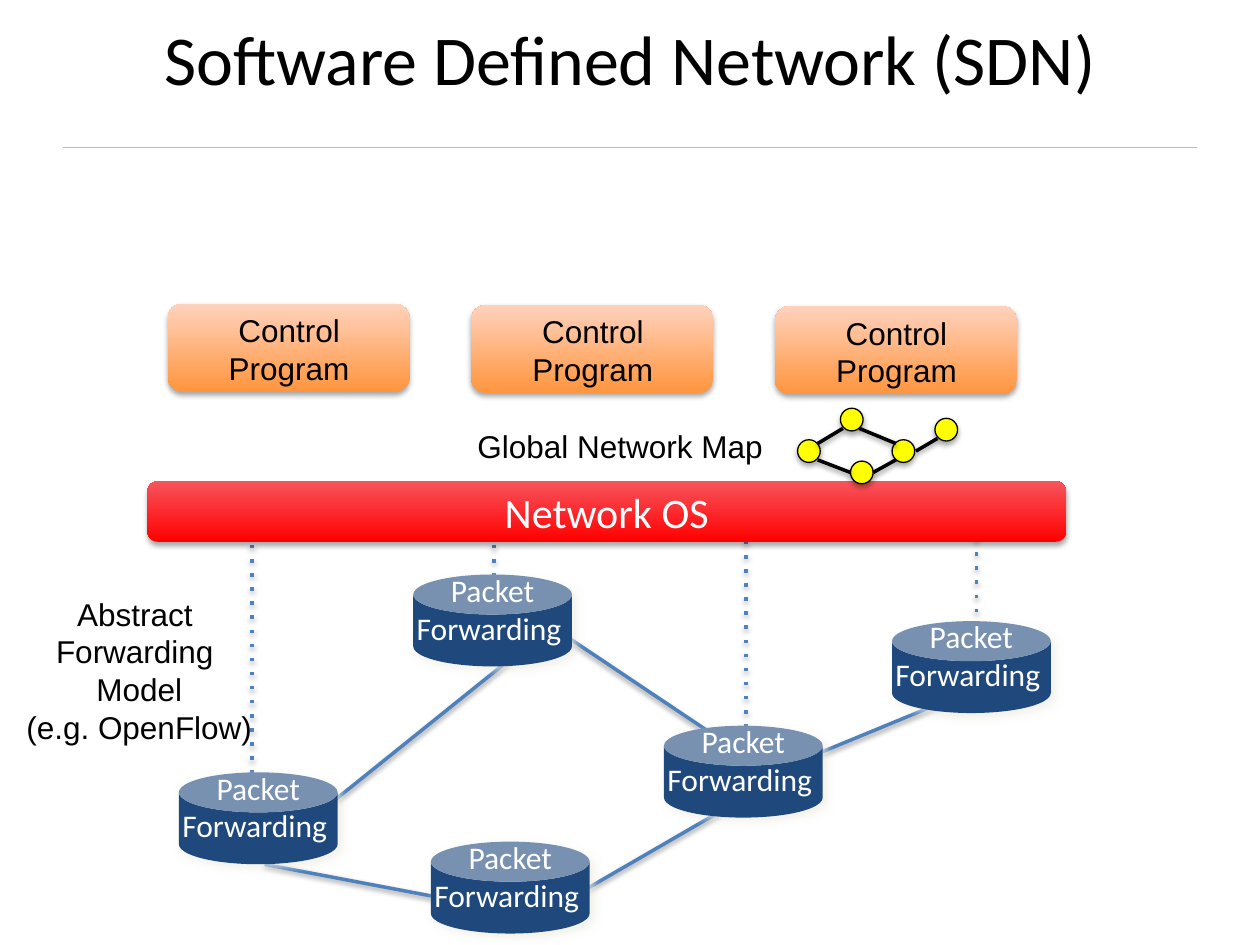
"""Build the Software Defined Network slide."""
from lxml import etree
from pptx import Presentation
from pptx.dml.color import RGBColor
from pptx.enum import dml, shapes, text
from pptx.oxml.ns import qn
from pptx.util import Inches, Pt

COLORS = {
    "black": "000000", "white": "FFFFFF", "rule": "C4BD97", "link": "4F81BD",
    "switch": "1F497D", "halo": "EEECE1", "node": "FFFF00",
    "red": "FF0000", "light_red": "F7545C",
    "orange": "FF953E", "light_orange": "FFD2BD",
}
SHADOWS = {
    "line": ("black", 38, 3.1, 1.6, 90),
    "box": ("black", 35, 3.1, 1.8, 90),
    "switch": ("halo", 75, 5, 3, 45),
}
TITLE = "Software Defined Network (SDN)"
PROGRAM = "Control\nProgram"
PROGRAMS = [(1.33, 2.41), (3.74, 2.42), (6.15, 2.43)]
SWITCH = "Packet\nForwarding "
SWITCHES = [(1.42, 6.13), (3.42, 6.68), (3.28, 4.56), (5.27, 5.76), (7.08, 4.93)]
LINKS = [
    (2.67, 6.34, 4.2, 5.11), (4.39, 4.98, 5.6, 5.79), (4.49, 7.15, 5.89, 6.34),
    (2.1, 6.86, 3.63, 7.15), (6.3, 6.06, 7.61, 5.52),
]
CONTROL_CHANNELS = [(2, 3.99, 6.24), (3.92, 3.99, 5.07), (5.92, 4.07, 5.99), (7.75, 4.16, 5.24)]
MAP_NODES = [(6.33, 3.49), (6.67, 3.24), (7.08, 3.49), (7.42, 3.32), (6.75, 3.66)]
MAP_EDGES = [
    (6.49, 3.52, 6.69, 3.4), (6.75, 3.75, 6.49, 3.65), (7.11, 3.52, 6.82, 3.4),
    (6.93, 3.75, 7.11, 3.65), (7.27, 3.58, 7.44, 3.48),
]
MODEL = "Abstract \nForwarding \nModel\n(e.g. OpenFlow)"


def rgb(name):
    return RGBColor.from_string(COLORS[name])


def set_effects(item, shadow=None):
    effects = etree.SubElement(item._element.spPr, qn("a:effectLst"))
    if shadow:
        color, alpha, blur, distance, angle = SHADOWS[shadow]
        outer = etree.SubElement(
            effects, qn("a:outerShdw"), blurRad=str(Pt(blur)), dist=str(Pt(distance)),
            dir=str(angle * 60000), rotWithShape="0")
        tint = etree.SubElement(outer, qn("a:srgbClr"), val=COLORS[color])
        etree.SubElement(tint, qn("a:alpha"), val=str(alpha * 1000))


def write(item, content, size, font, color="black", wrap=False,
          anchor=text.MSO_ANCHOR.MIDDLE, align=text.PP_ALIGN.CENTER):
    frame = item.text_frame
    frame.text = content
    frame.word_wrap = wrap
    frame.vertical_anchor = anchor
    for paragraph in frame.paragraphs:
        paragraph.alignment = align
        for run in paragraph.runs:
            run.font.size = Pt(size)
            run.font.name = font
            run.font.color.rgb = rgb(color)


def add_line(slide, ends, color, width=2, shadow="line", dotted=False):
    line = slide.shapes.add_connector(
        shapes.MSO_CONNECTOR.STRAIGHT, *[Inches(value) for value in ends])
    line.line.color.rgb = rgb(color)
    line.line.width = Pt(width)
    if dotted:
        line.line.dash_style = dml.MSO_LINE.ROUND_DOT
        line._element.spPr.find(".//" + qn("a:prstDash")).set("val", "dot")
    set_effects(line, shadow)


def add_solid(slide, kind, box, fills, shadow="box", outline=None):
    solid = slide.shapes.add_shape(kind, *[Inches(value) for value in box])
    if len(fills) == 1:
        solid.fill.solid()
        solid.fill.fore_color.rgb = rgb(fills[0])
    else:
        solid.fill.gradient()
        solid.fill.gradient_angle = 90
        for stop, color in zip(solid.fill.gradient_stops, fills):
            stop.color.rgb = rgb(color)
    if outline:
        solid.line.color.rgb = rgb(outline)
        solid.line.width = Pt(0.75)
    else:
        solid.line.fill.background()
    set_effects(solid, shadow)
    return solid


def add_label(slide, box, content, align=text.PP_ALIGN.CENTER):
    label = slide.shapes.add_textbox(*[Inches(value) for value in box])
    write(label, content, 18, "Arial", anchor=text.MSO_ANCHOR.TOP, align=align)


def main():
    deck = Presentation()
    deck.slide_width, deck.slide_height = Inches(10), Inches(7.5)
    slide = deck.slides.add_slide(deck.slide_layouts[5])
    kinds = shapes.MSO_SHAPE

    title = slide.shapes.title
    title.left, title.top = Inches(0.5), Inches(-0.17)
    title.width, title.height = Inches(9), Inches(1.25)
    write(title, TITLE, 40, "Calibri", wrap=True)
    add_line(slide, (0.5, 1.17, 9.5, 1.17), "rule", 0.75, None)

    for ends in LINKS:
        add_line(slide, ends, "link")
    for x, top, bottom in CONTROL_CHANNELS:
        add_line(slide, (x, top, x, bottom), "link", dotted=True)
    add_label(slide, (3.69, 3.34, 2.49, 0.4), "Global Network Map", text.PP_ALIGN.LEFT)

    for left, top in SWITCHES:
        switch = add_solid(slide, kinds.CAN, (left, top, 1.26, 0.73), ["switch"], "switch")
        switch.adjustments[0] = 0.436
        write(switch, SWITCH, 18, "Calibri", "white", anchor=text.MSO_ANCHOR.BOTTOM)
        switch.text_frame.margin_top = switch.text_frame.margin_bottom = 0

    network_os = add_solid(
        slide, kinds.ROUNDED_RECTANGLE, (1.17, 3.82, 7.29, 0.48), ["red", "light_red"])
    write(network_os, "Network OS", 24, "Calibri", "white", wrap=True)

    for left, top in MAP_NODES:
        add_solid(slide, kinds.OVAL, (left, top, 0.18, 0.18), ["node"], outline="black")
    for ends in MAP_EDGES:
        add_line(slide, ends, "black")

    for left, top in PROGRAMS:
        add_solid(slide, kinds.ROUNDED_RECTANGLE, (left, top, 1.92, 0.7),
                  ["orange", "light_orange"])
        add_label(slide, (left + 0.38, top + 0.01, 1.17, 0.71), PROGRAM)
    add_label(slide, (0.1, 4.67, 2.01, 1.31), MODEL)

    deck.save("out.pptx")


if __name__ == "__main__":
    main()
